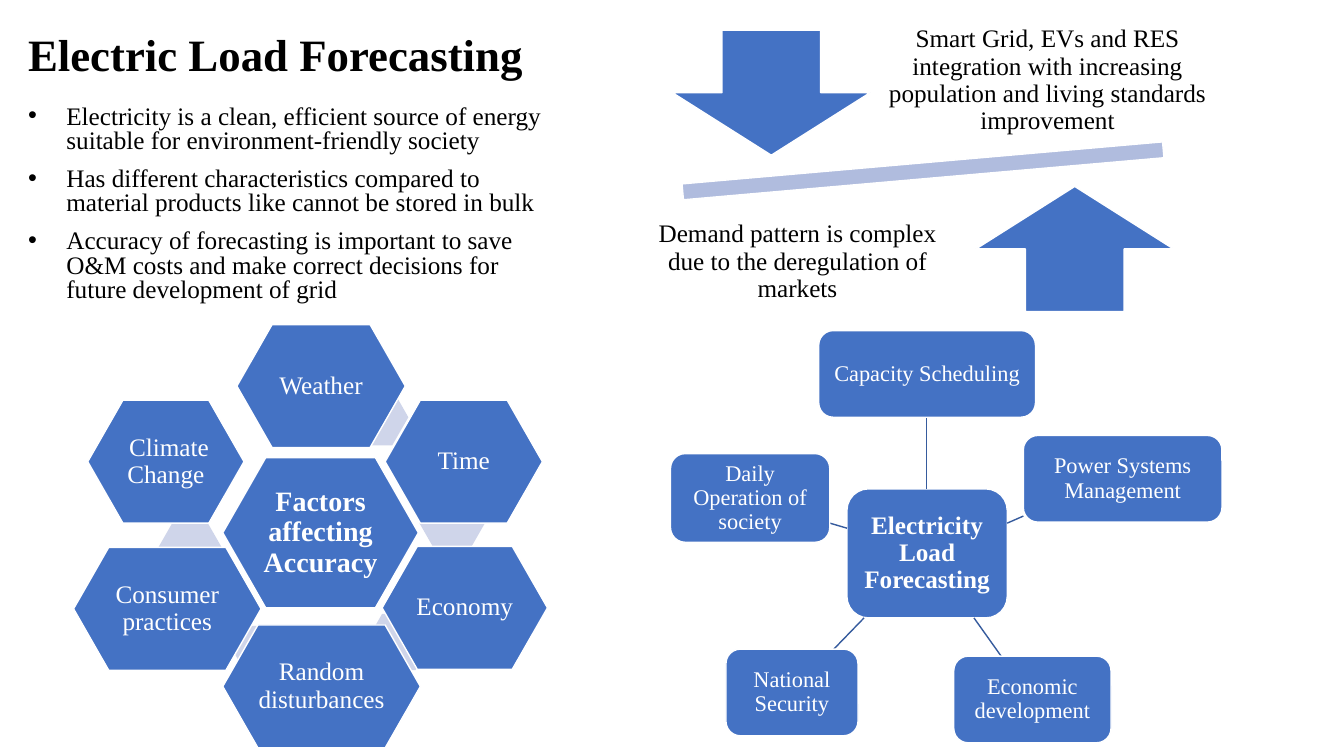
from dataclasses import dataclass

from lxml.etree import SubElement
from pptx import Presentation
from pptx.dml.color import RGBColor
from pptx.enum.shapes import MSO_CONNECTOR, MSO_SHAPE as Preset
from pptx.enum.text import MSO_ANCHOR as Anchor, PP_ALIGN as Align
from pptx.oxml.ns import qn
from pptx.util import Emu, Inches, Pt

FONT = "Times New Roman"
BLACK = RGBColor(0x00, 0x00, 0x00)
WHITE = RGBColor(0xFF, 0xFF, 0xFF)
BLUE = RGBColor(0x44, 0x72, 0xC4)
LINK_BLUE = RGBColor(0x36, 0x5B, 0x9D)
BEAM_BLUE = RGBColor(0xB0, 0xBC, 0xDE)
ACCENT_BLUE = RGBColor(0xCF, 0xD5, 0xEA)


@dataclass(frozen=True)
class Box:
    left: float
    top: float
    width: float
    height: float

    def lengths(self) -> tuple[Emu, ...]:
        return tuple(map(Inches, (self.left, self.top, self.width, self.height)))


@dataclass(frozen=True)
class TextStyle:
    size: int
    color: RGBColor = WHITE
    bold: bool = False
    align: Align = Align.CENTER
    spacing: float = 0.9


@dataclass(frozen=True)
class Factor:
    text: str
    box: Box
    accent: tuple[float, float] | None = None


@dataclass(frozen=True)
class Use:
    text: str
    box: Box
    link_start: tuple[float, float]
    link_end: tuple[float, float]


TITLE_STYLE = TextStyle(32, BLACK, True, Align.LEFT)
BULLET_STYLE = TextStyle(18, BLACK, False, Align.LEFT, 0.8)
NOTE_STYLE = TextStyle(18, BLACK)
FACTOR_STYLE = TextStyle(18)
USE_STYLE = TextStyle(16)

BULLETS = [
    "Electricity is a clean, efficient source of energy suitable for environment-friendly society",
    "Has different characteristics compared to material products like cannot be stored in bulk",
    "Accuracy of forecasting is important to save O&M costs and make correct decisions "
    "for future development of grid",
]
FACTORS = [
    Factor("Weather", Box(2.35, 3.22, 1.67, 1.22), (3.4, 3.86)),
    Factor("Time", Box(3.82, 3.97, 1.56, 1.22), (4.16, 4.91)),
    Factor("Economy", Box(3.79, 5.42, 1.64, 1.22), (3.63, 6.09)),
    Factor("Random disturbances", Box(2.21, 6.2, 1.96, 1.22), (2.33, 6.21)),
    Factor("Consumer practices", Box(0.73, 5.43, 1.86, 1.22), (1.56, 5.17)),
    Factor(" Climate Change", Box(0.87, 3.97, 1.55, 1.22)),
]
USES = [
    Use("Capacity Scheduling", Box(8.12, 3.28, 2.15, 0.86), (9.19, 4.85), (9.19, 4.13)),
    Use("Power Systems Management", Box(10.15, 4.32, 1.97, 0.86), (9.99, 5.19), (10.15, 5.12)),
    Use("Economic development", Box(9.46, 6.51, 1.56, 0.86), (9.66, 6.13), (9.93, 6.51)),
    Use("National Security", Box(7.2, 6.44, 1.31, 0.86), (8.57, 6.13), (8.27, 6.44)),
    Use("Daily Operation of society", Box(6.65, 4.5, 1.58, 0.88), (8.4, 5.24), (8.23, 5.19)),
]
NOTES = [
    ("Smart Grid, EVs and RES integration with increasing population and living standards "
     "improvement", Box(8.61, 0.15, 3.56, 1.3)),
    ("Demand pattern is complex due to the deregulation of markets", Box(6.34, 1.95, 3.14, 1.3)),
]


def write(shape, texts: list[str], style: TextStyle, inset: float | None = None,
          anchor: Anchor = Anchor.MIDDLE) -> None:
    frame = shape.text_frame
    frame.word_wrap = True
    frame.vertical_anchor = anchor
    if inset is not None:
        frame.margin_left = frame.margin_right = Inches(inset)
        frame.margin_top = frame.margin_bottom = Inches(inset)
    for index, text in enumerate(texts):
        paragraph = frame.add_paragraph() if index else frame.paragraphs[0]
        paragraph.text = text
        paragraph.alignment = style.align
        paragraph.line_spacing = style.spacing
        paragraph.font.name = FONT
        paragraph.font.size = Pt(style.size)
        paragraph.font.bold = style.bold
        paragraph.font.color.rgb = style.color


def add_text(slide, box: Box, texts: list[str], style: TextStyle,
             inset: float | None = None, anchor: Anchor = Anchor.MIDDLE):
    shape = slide.shapes.add_textbox(*box.lengths())
    write(shape, texts, style, inset, anchor)
    return shape


def add_preset(slide, preset: Preset, box: Box, fill: RGBColor = BLUE, outlined: bool = True):
    shape = slide.shapes.add_shape(preset, *box.lengths())
    shape.shadow.inherit = False
    shape.fill.solid()
    shape.fill.fore_color.rgb = fill
    if outlined:
        shape.line.color.rgb = WHITE
        shape.line.width = Pt(1)
    else:
        shape.line.fill.background()
    return shape


def add_hexagon(slide, box: Box, fill: RGBColor = BLUE, outlined: bool = True):
    shape = add_preset(slide, Preset.HEXAGON, box, fill, outlined)
    shape.adjustments[0] = 0.286
    return shape


def add_link(slide, start: tuple[float, float], end: tuple[float, float]) -> None:
    link = slide.shapes.add_connector(MSO_CONNECTOR.STRAIGHT, *map(Inches, start + end))
    link.line.color.rgb = LINK_BLUE
    link.line.width = Pt(1)
    SubElement(link._element.spPr, qn("a:effectLst"))


def add_bullets(slide) -> None:
    shape = add_text(slide, Box(0.18, 1, 5.49, 2.22), BULLETS, BULLET_STYLE, anchor=Anchor.TOP)
    for paragraph in shape.text_frame.paragraphs:
        paragraph.space_before = Pt(10)
        properties = paragraph._p.get_or_add_pPr()
        properties.set("marL", str(Inches(0.38)))
        properties.set("indent", str(Inches(-0.38)))
        bullet_font = properties.makeelement(qn("a:buFont"), {"typeface": "Arial"})
        bullet = properties.makeelement(qn("a:buChar"), {"char": "•"})
        default_run = properties.find(qn("a:defRPr"))
        default_run.addprevious(bullet_font)
        default_run.addprevious(bullet)


def add_balance(slide) -> None:
    beam = add_preset(slide, Preset.MATH_MINUS, Box(5.9, 1.36, 6.51, 0.67), BEAM_BLUE)
    beam.rotation = 355
    add_preset(slide, Preset.DOWN_ARROW, Box(6.67, 0.3, 1.96, 1.24))
    add_preset(slide, Preset.UP_ARROW, Box(9.68, 1.85, 1.96, 1.24))
    for text, box in NOTES:
        add_text(slide, box, [text], NOTE_STYLE, inset=0.14)


def add_uses(slide) -> None:
    hub = add_preset(slide, Preset.ROUNDED_RECTANGLE, Box(8.4, 4.85, 1.59, 1.28))
    write(hub, ["Electricity Load Forecasting"], TextStyle(18, bold=True), 0.05)
    for use in USES:
        add_link(slide, use.link_start, use.link_end)
        node = add_preset(slide, Preset.ROUNDED_RECTANGLE, use.box)
        write(node, [use.text], USE_STYLE, 0.04)


def add_factors(slide) -> None:
    hub = add_hexagon(slide, Box(2.21, 4.54, 1.94, 1.49))
    write(hub, ["Factors affecting Accuracy"], TextStyle(20, bold=True), 0.03)
    for factor in FACTORS:
        if factor.accent:
            add_hexagon(slide, Box(*factor.accent, 0.65, 0.56), ACCENT_BLUE, outlined=False)
        write(add_hexagon(slide, factor.box), [factor.text], FACTOR_STYLE, 0.03)


def main() -> None:
    presentation = Presentation()
    presentation.slide_width = Inches(13.33)
    presentation.slide_height = Inches(7.5)
    slide = presentation.slides.add_slide(presentation.slide_layouts[6])
    # Title and key points
    add_text(slide, Box(0.18, 0.14, 5.91, 0.85), ["Electric Load Forecasting"], TITLE_STYLE)
    add_bullets(slide)
    # Diagrams
    add_uses(slide)
    add_balance(slide)
    add_factors(slide)
    presentation.save("out.pptx")


if __name__ == "__main__":
    main()
